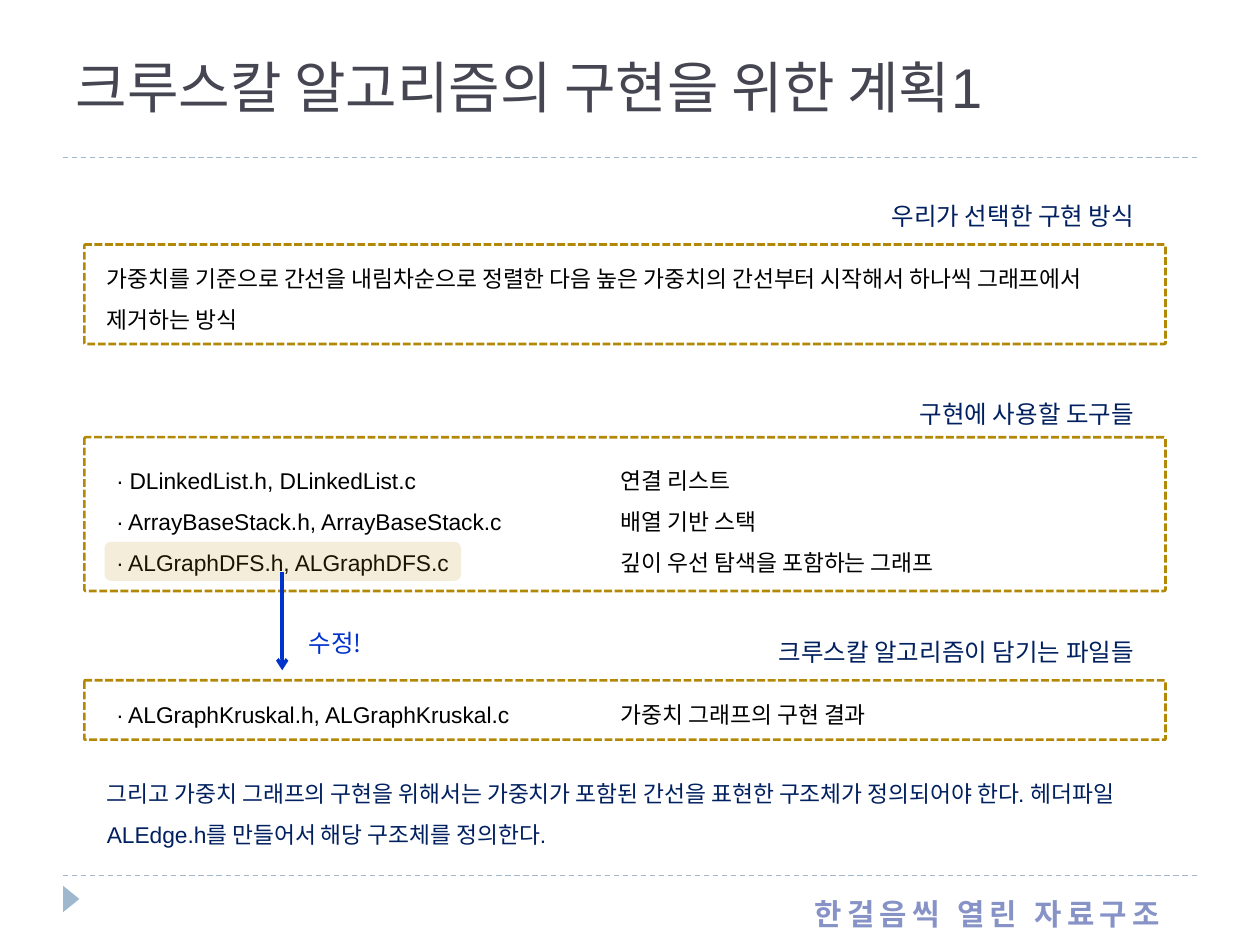
from lxml.etree import SubElement
from pptx import Presentation
from pptx.dml.color import RGBColor
from pptx.enum.dml import MSO_LINE
from pptx.enum.shapes import MSO_CONNECTOR, MSO_SHAPE
from pptx.enum.text import MSO_ANCHOR, PP_ALIGN
from pptx.oxml.ns import qn
from pptx.util import Inches, Pt

COLORS = {
    "rule": "9FB8CD",
    "title": "464653",
    "footer": "8793C7",
    "gold": "B38807",
    "navy": "002060",
    "blue": "0033CC",
    "black": "000000",
}
BOX_LEFT, BOX_WIDTH = 0.67, 8.58
LABEL_RIGHT = 9.1


def rgb(name):
    return RGBColor.from_string(COLORS[name])


def format_runs(p, size, font, color, bold=False):
    for r in p.runs:
        r.font.size = Pt(size)
        r.font.name = font
        r.font.color.rgb = rgb(color)
        r.font.bold = bold


def add_title(s, text):
    sp = s.shapes.title
    sp.left, sp.top, sp.width, sp.height = map(Inches, (0.5, 0.17, 9, 0.83))
    tf = sp.text_frame
    tf.text = text
    tf.vertical_anchor = MSO_ANCHOR.BOTTOM
    tf.paragraphs[0].alignment = PP_ALIGN.LEFT
    format_runs(tf.paragraphs[0], 32, "Arial", "title")


def add_text(s, box, lines, size=13, font="Arial", color="black",
             align=PP_ALIGN.LEFT, spacing=1.5, tab=None, bold=False):
    sp = s.shapes.add_textbox(*map(Inches, box))
    tf = sp.text_frame
    tf.word_wrap = True
    for i, line in enumerate(lines):
        p = tf.paragraphs[0] if i == 0 else tf.add_paragraph()
        p.text = line
        p.alignment = align
        p.line_spacing = spacing
        if tab:
            tabs = SubElement(p._p.get_or_add_pPr(), qn("a:tabLst"))
            SubElement(tabs, qn("a:tab"), pos=str(Inches(tab)), algn="l")
        format_runs(p, size, font, color, bold)
    return sp


def add_label(s, top, text, width=2.6):
    add_text(s, (LABEL_RIGHT - width, top, width, 0.34), [text], size=14,
             font="Calibri", color="navy", align=PP_ALIGN.RIGHT, spacing=1.0)


def add_files(s, top, height, rows):
    lines = [f"∙ {files}\t{role}" for files, role in rows]
    add_text(s, (0.83, top, 7.24, height), lines, tab=4)


def add_frame(s, top, height):
    sp = s.shapes.add_shape(MSO_SHAPE.ROUNDED_RECTANGLE, Inches(BOX_LEFT),
                            Inches(top), Inches(BOX_WIDTH), Inches(height))
    sp.adjustments[0] = 0.01
    sp.shadow.inherit = False
    sp.fill.background()
    sp.line.color.rgb = rgb("gold")
    sp.line.width = Pt(1.5)
    sp.line.dash_style = MSO_LINE.SQUARE_DOT


def add_filled(s, kind, box, color, alpha=None):
    sp = s.shapes.add_shape(kind, *map(Inches, box))
    sp.shadow.inherit = False
    sp.fill.solid()
    sp.fill.fore_color.rgb = rgb(color)
    sp.line.fill.background()
    if alpha:
        clr = sp._element.spPr.find(qn("a:solidFill"))[0]
        SubElement(clr, qn("a:alpha"), val=str(alpha * 1000))
    return sp


def add_line(s, start, end, color, width, dash=None, arrow=False):
    cx = s.shapes.add_connector(MSO_CONNECTOR.STRAIGHT,
                                *map(Inches, start + end))
    cx.line.color.rgb = rgb(color)
    cx.line.width = Pt(width)
    if dash:
        cx.line.dash_style = dash
    if arrow:
        SubElement(cx.line._get_or_add_ln(), qn("a:tailEnd"), type="arrow")
    SubElement(cx._element.spPr, qn("a:effectLst"))


def add_footer(s, text):
    sp = add_text(s, (6.02, 7.06, 3.63, 0.39), [text], size=17,
                  font="Calibri", color="footer", align=PP_ALIGN.CENTER,
                  spacing=1.0, bold=True)
    for r in sp.text_frame.paragraphs[0].runs:
        r.font._element.set("spc", "300")


def main():
    prs = Presentation()
    prs.slide_width, prs.slide_height = Inches(10), Inches(7.5)
    s = prs.slides.add_slide(prs.slide_layouts[5])

    for y in (6.95, 1.25):
        add_line(s, (0.5, y), (9.5, y), "rule", 0.75, dash=MSO_LINE.DASH)
    marker = add_filled(s, MSO_SHAPE.ISOSCELES_TRIANGLE,
                        (0.46, 7.07, 0.21, 0.13), "rule")
    marker.rotation = 90
    add_title(s, "크루스칼 알고리즘의 구현을 위한 계획1")
    add_footer(s, "한걸음씩 열린 자료구조")

    add_label(s, 1.55, "우리가 선택한 구현 방식")
    add_text(s, (0.75, 1.94, 8.35, 0.72),
             ["가중치를 기준으로 간선을 내림차순으로 정렬한 다음 높은 가중치의 "
              "간선부터 시작해서 하나씩 그래프에서 제거하는 방식"],
             font="Calibri")
    add_frame(s, 1.94, 0.79)

    add_label(s, 3.12, "구현에 사용할 도구들")
    add_files(s, 3.55, 1.04, [
        ("DLinkedList.h, DLinkedList.c", "연결 리스트"),
        ("ArrayBaseStack.h, ArrayBaseStack.c", "배열 기반 스택"),
        ("ALGraphDFS.h, ALGraphDFS.c", "깊이 우선 탐색을 포함하는 그래프"),
    ])
    add_frame(s, 3.47, 1.22)
    add_filled(s, MSO_SHAPE.ROUNDED_RECTANGLE, (0.83, 4.3, 2.83, 0.31),
               "gold", alpha=15)

    add_label(s, 5.01, "크루스칼 알고리즘이 담기는 파일들", width=3.7)
    add_files(s, 5.4, 0.39, [
        ("ALGraphKruskal.h, ALGraphKruskal.c", "가중치 그래프의 구현 결과"),
    ])
    add_frame(s, 5.4, 0.47)

    add_line(s, (2.24, 4.54), (2.24, 5.32), "blue", 2, arrow=True)
    add_text(s, (2.32, 4.82, 0.68, 0.42), ["수정!"], size=14,
             font="Noto Sans CJK KR", color="blue", align=PP_ALIGN.CENTER)
    add_text(s, (0.75, 6.03, 8.5, 0.76),
             ["그리고 가중치 그래프의 구현을 위해서는 가중치가 포함된 간선을 "
              "표현한 구조체가 정의되어야 한다. 헤더파일 ALEdge.h를 만들어서 "
              "해당 구조체를 정의한다."], color="navy")

    prs.save("out.pptx")


if __name__ == "__main__":
    main()
